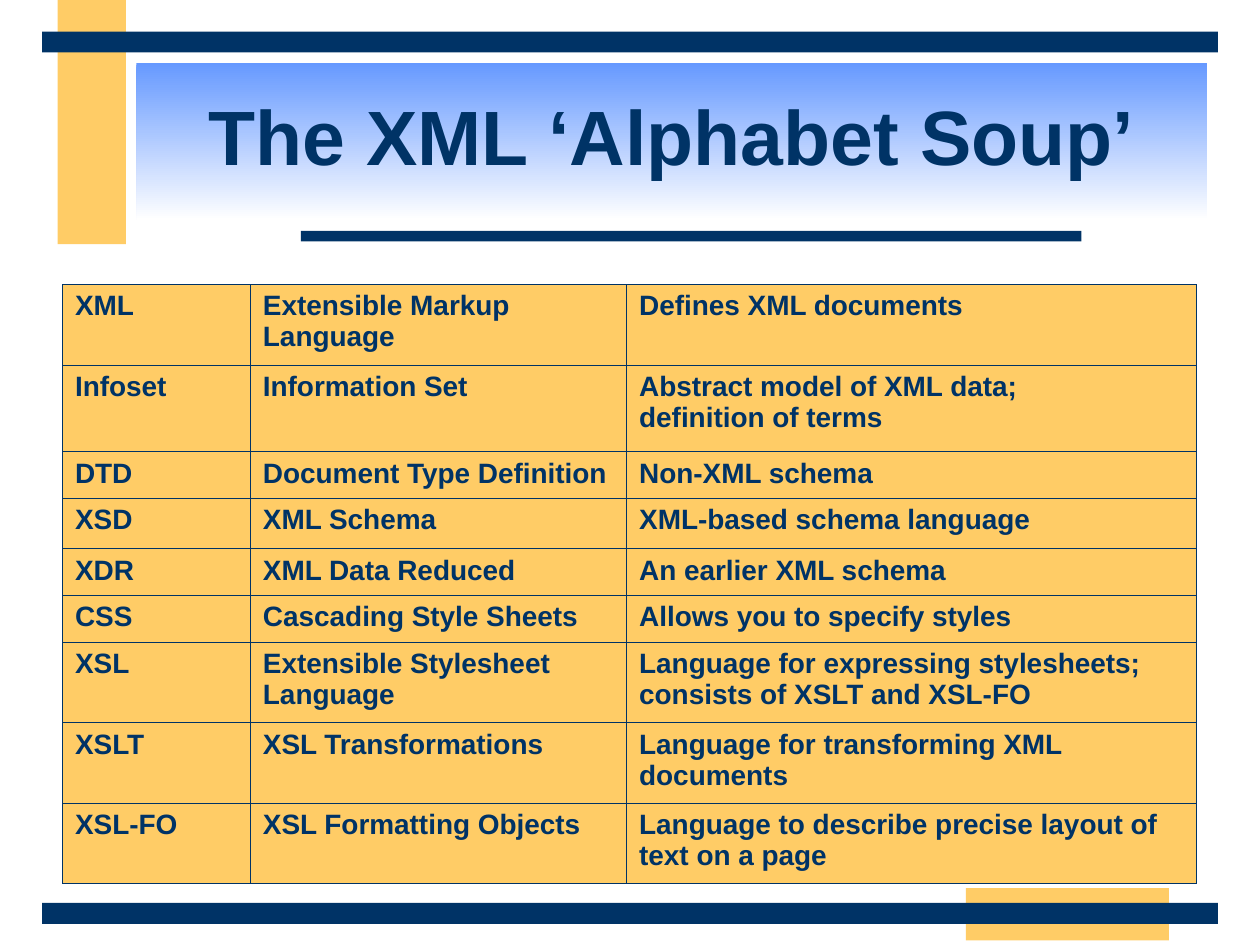
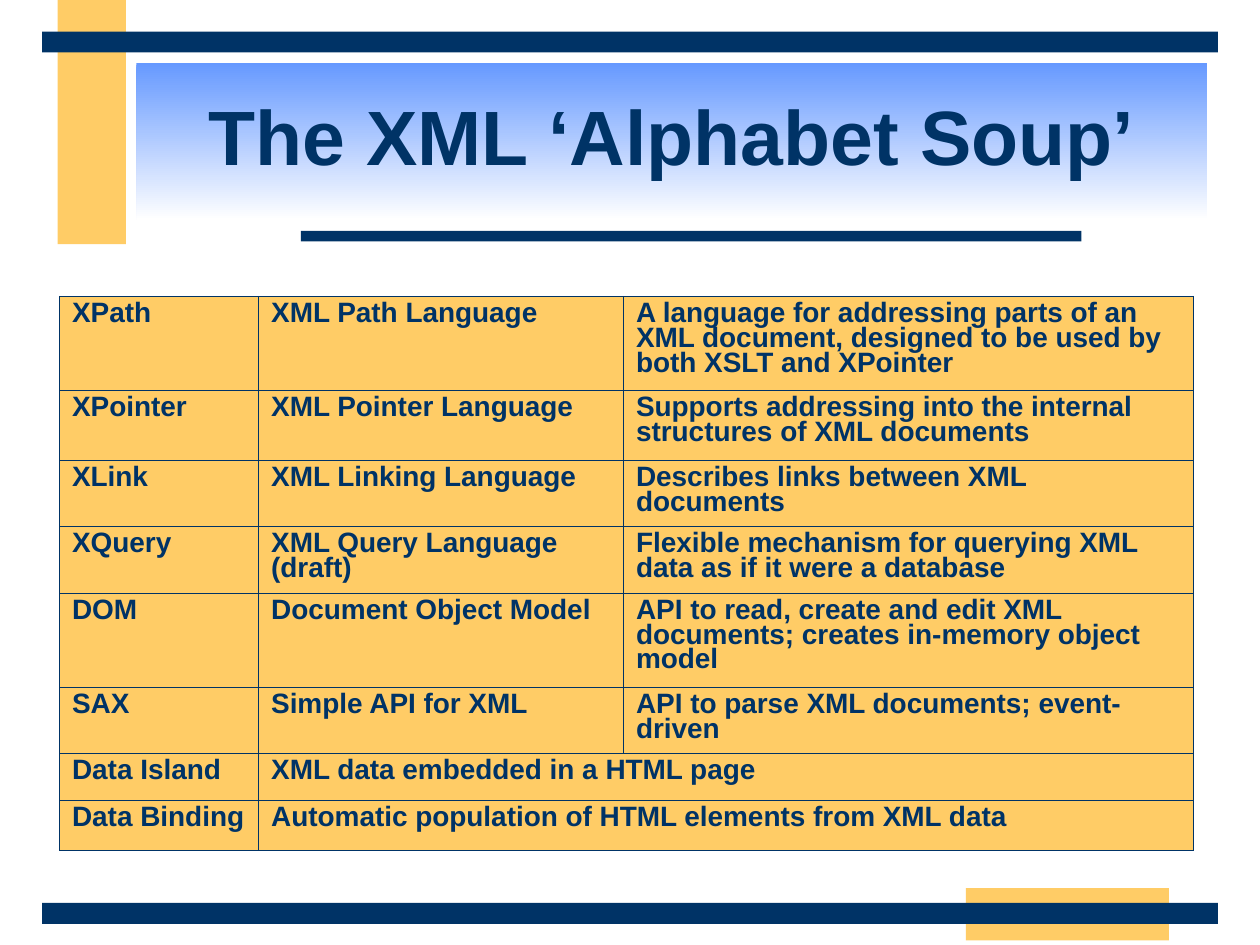
from lxml import etree
from pptx import Presentation
from pptx.dml.color import RGBColor
from pptx.enum.shapes import MSO_SHAPE
from pptx.enum.text import MSO_ANCHOR, PP_ALIGN
from pptx.oxml.ns import qn
from pptx.util import Pt

RECT = MSO_SHAPE.RECTANGLE
MIDDLE = MSO_ANCHOR.MIDDLE
CENTER = PP_ALIGN.CENTER

NAVY, GOLD, BLUE, WHITE = "003366", "FFCC66", "6699FF", "FFFFFF"
FONT = "Arial"
TITLE = "The XML ‘Alphabet Soup’"

# Left, top, width, height and colour, from back to front
BANDS = [
    (33, 0, 39, 139.5, GOLD),
    (552, 507.5, 116, 30, GOLD),
    (172, 132, 446, 6, NAVY),
    (24, 516, 672, 12, NAVY),
    (24, 18, 672, 12, NAVY),
]

CORE = [
    (46, "XML", "Extensible Markup Language", "Defines XML documents"),
    (49.7, "Infoset", "Information Set",
     "Abstract model of XML data;\vdefinition of terms"),
    (26.7, "DTD", "Document Type Definition", "Non-XML schema"),
    (28.7, "XSD", "XML Schema", "XML-based schema language"),
    (26.7, "XDR", "XML Data Reduced", "An earlier XML schema"),
    (26.7, "CSS", "Cascading Style Sheets", "Allows you to specify styles"),
    (46, "XSL", "Extensible Stylesheet Language",
     "Language for expressing stylesheets; consists of XSLT and XSL-FO"),
    (46, "XSLT", "XSL Transformations",
     "Language for transforming XML documents"),
    (46, "XSL-FO", "XSL Formatting Objects",
     "Language to describe precise layout of text on a page"),
]

# A row with only two texts spans its last two columns
TOOLS = [
    (53.7, "XPath", "XML Path Language",
     "A language for addressing parts of an XML document, "
     "designed to be used by both XSLT and XPointer"),
    (40, "XPointer", "XML Pointer Language",
     "Supports addressing into the internal structures of XML documents"),
    (38, "XLink", "XML Linking Language",
     "Describes links between XML documents"),
    (38, "XQuery", "XML Query Language (draft)",
     "Flexible mechanism for querying XML data as if it were a database"),
    (53.7, "DOM", "Document Object Model",
     "API to read, create and edit XML documents; "
     "creates in-memory object model"),
    (38, "SAX", "Simple API for XML",
     "API to parse XML documents; event-driven"),
    (26.7, "Data Island", "XML data embedded in a HTML page"),
    (29, "Data Binding",
     "Automatic population of HTML elements from XML data"),
]


def paint(fill, color):
    fill.solid()
    fill.fore_color.rgb = RGBColor.from_string(color)


def style(para, size, space):
    para.line_spacing = space
    font = para.font
    font.name, font.size, font.bold = FONT, Pt(size), True
    font.color.rgb = RGBColor.from_string(NAVY)


def add_rect(slide, left, top, width, height, color):
    rect = slide.shapes.add_shape(
        RECT, Pt(left), Pt(top), Pt(width), Pt(height))
    rect.shadow.inherit = False
    rect.line.fill.background()
    paint(rect.fill, color)
    return rect


def add_title(slide, text):
    box = add_rect(slide, 78, 36, 612, 90, BLUE)
    box.fill.gradient()
    box.fill.gradient_angle = 270
    for stop, color in zip(box.fill.gradient_stops, (BLUE, WHITE)):
        stop.color.rgb = RGBColor.from_string(color)
    frame = box.text_frame
    frame.word_wrap = True
    frame.vertical_anchor = MIDDLE
    frame.text = text
    para = frame.paragraphs[0]
    para.alignment = CENTER
    style(para, 44, 0.85)


def add_edges(cell):
    """Draw a thin navy line on all four sides of a cell."""
    props = cell._tc.get_or_add_tcPr()
    for side in "LRTB":
        line = etree.SubElement(props, qn(f"a:ln{side}"), w=str(Pt(0.45)))
        fill = etree.SubElement(line, qn("a:solidFill"))
        etree.SubElement(fill, qn("a:srgbClr"), val=NAVY)


def add_grid(slide, left, top, widths, rows, space):
    """Add a table; each row holds its height and then its texts."""
    high = sum(row[0] for row in rows)
    table = slide.shapes.add_table(
        len(rows), len(widths), Pt(left), Pt(top),
        Pt(sum(widths)), Pt(high)).table
    table.first_row = table.horz_banding = False
    for col, width in zip(table.columns, widths):
        col.width = Pt(width)
    for r, (height, *texts) in enumerate(rows):
        table.rows[r].height = Pt(height)
        for c in range(len(widths)):
            cell = table.cell(r, c)
            add_edges(cell)
            paint(cell.fill, GOLD)
            if c < len(texts):
                cell.text = texts[c]
                style(cell.text_frame.paragraphs[0], 16, space)
        if len(texts) < len(widths):
            table.cell(r, len(texts) - 1).merge(
                table.cell(r, len(widths) - 1))


def add_page(deck):
    slide = deck.slides.add_slide(deck.slide_layouts[6])
    for band in BANDS:
        add_rect(slide, *band)
    add_title(slide, TITLE)
    return slide


def main():
    deck = Presentation()
    deck.slide_width, deck.slide_height = Pt(720), Pt(540)
    add_grid(add_page(deck), 35.7, 162.5, (107.4, 215, 325.7), CORE, 1.0)
    add_grid(add_page(deck), 34, 169.2, (113.8, 208.5, 325.7), TOOLS, 0.8)
    deck.save("out.pptx")


if __name__ == "__main__":
    main()
